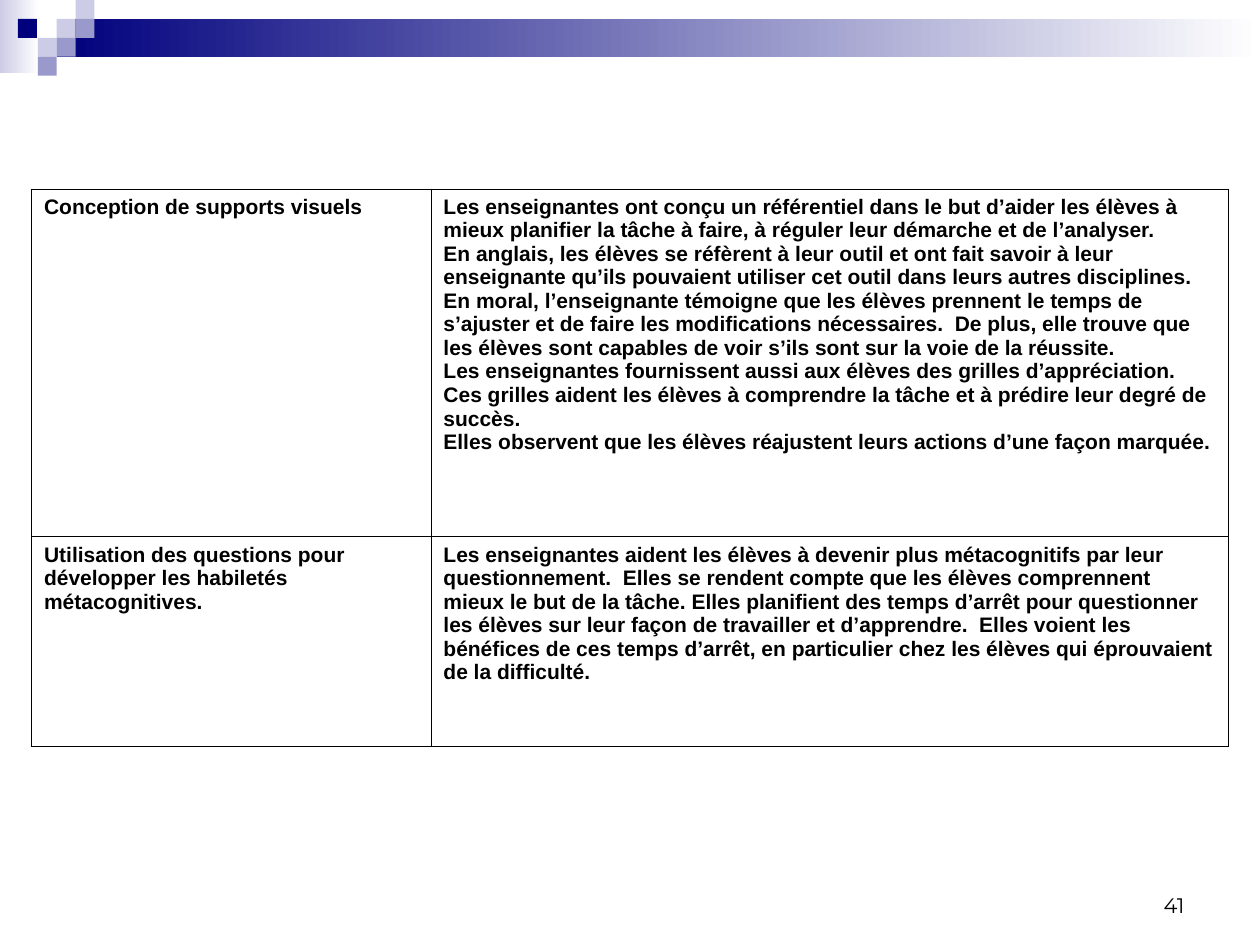
from lxml.etree import SubElement
from pptx import Presentation
from pptx.dml.color import RGBColor
from pptx.enum.shapes import MSO_SHAPE
from pptx.enum.text import MSO_ANCHOR, PP_ALIGN
from pptx.oxml.ns import qn
from pptx.util import Inches, Pt

BLACK = RGBColor(0, 0, 0)
WHITE = RGBColor(0xFF, 0xFF, 0xFF)
NAVY = RGBColor(0x00, 0x00, 0x7D)
LAVENDER = RGBColor(0xCC, 0xCC, 0xE6)
PERIWINKLE = RGBColor(0x99, 0x99, 0xCC)

ROWS = [
    (
        ["Conception de supports visuels"],
        [
            "Les enseignantes ont conçu un référentiel dans le but d’aider les élèves à mieux "
            "planifier la tâche à faire, à réguler leur démarche et de l’analyser.",
            "En anglais, les élèves se réfèrent à leur outil et ont fait savoir à leur "
            "enseignante qu’ils pouvaient utiliser cet outil dans leurs autres disciplines.",
            "En moral, l’enseignante témoigne que les élèves prennent le temps de s’ajuster et "
            "de faire les modifications nécessaires.  De plus, elle trouve que les élèves sont "
            "capables de voir s’ils sont sur la voie de la réussite.",
            "Les enseignantes fournissent aussi aux élèves des grilles d’appréciation.  Ces "
            "grilles aident les élèves à comprendre la tâche et à prédire leur degré de succès.",
            "Elles observent que les élèves réajustent leurs actions d’une façon marquée.",
        ],
    ),
    (
        ["Utilisation des questions pour développer les habiletés métacognitives."],
        [
            "Les enseignantes aident les élèves à devenir plus métacognitifs par leur "
            "questionnement.  Elles se rendent compte que les élèves comprennent mieux le but "
            "de la tâche. Elles planifient des temps d’arrêt pour questionner les élèves sur "
            "leur façon de travailler et d’apprendre.  Elles voient les bénéfices de ces temps "
            "d’arrêt, en particulier chez les élèves qui éprouvaient de la difficulté.",
        ],
    ),
]
PAGE_NUMBER = "41"

COLUMN_WIDTHS = (3.17, 6.33)
ROW_HEIGHTS = (2.76, 1.66)
TABLE_LEFT, TABLE_TOP = 0.25, 1.5

TILE = 0.15
# Left, top, width and height in tiles, then the colour at the left end
GRADIENT_BANDS = [(0, 0, 2.07, 3.87, LAVENDER), (3, 1, 63.67, 2, NAVY)]
# Column, row and colour
TILES = [
    (3, 1, LAVENDER), (4, 0, LAVENDER), (4, 1, PERIWINKLE), (2, 2, LAVENDER),
    (0.95, 1, NAVY), (3, 2, PERIWINKLE), (2, 3, PERIWINKLE),
]


def add_block(slide, column, row, width, height):
    """Add a borderless rectangle measured in tiles."""
    box = [Inches(TILE * value) for value in (column, row, width, height)]
    shape = slide.shapes.add_shape(MSO_SHAPE.RECTANGLE, *box)
    shape.shadow.inherit = False
    shape.line.fill.background()
    return shape


def add_header(slide):
    for *box, color in GRADIENT_BANDS:
        fill = add_block(slide, *box).fill
        fill.gradient()
        fill.gradient_angle = 180
        for stop, position, stop_color in zip(fill.gradient_stops, (0, 1), (WHITE, color)):
            stop.position = position
            stop.color.rgb = stop_color
    for column, row, color in TILES:
        fill = add_block(slide, column, row, 1, 1).fill
        fill.solid()
        fill.fore_color.rgb = color


def write(text_frame, paragraphs, font="Arial", size=12, bold=False, align=PP_ALIGN.LEFT):
    text_frame.word_wrap = True
    for index, text in enumerate(paragraphs):
        paragraph = text_frame.paragraphs[0] if index == 0 else text_frame.add_paragraph()
        paragraph.alignment = align
        run = paragraph.add_run()
        run.text = text
        run.font.name = font
        run.font.size = Pt(size)
        run.font.bold = bold
        run.font.color.rgb = BLACK


def set_borders(cell, color=BLACK, width=0.45):
    properties = cell._tc.get_or_add_tcPr()
    for side in ("a:lnL", "a:lnR", "a:lnT", "a:lnB"):
        line = SubElement(properties, qn(side), w=str(Pt(width)))
        SubElement(SubElement(line, qn("a:solidFill")), qn("a:srgbClr"), val=str(color))


def add_table(slide):
    table = slide.shapes.add_table(
        len(ROWS), len(COLUMN_WIDTHS), Inches(TABLE_LEFT), Inches(TABLE_TOP),
        Inches(sum(COLUMN_WIDTHS)), Inches(sum(ROW_HEIGHTS)),
    ).table
    table.first_row = table.horz_banding = False
    for column, width in zip(table.columns, COLUMN_WIDTHS):
        column.width = Inches(width)
    for row, height, contents in zip(table.rows, ROW_HEIGHTS, ROWS):
        row.height = Inches(height)
        for cell, paragraphs in zip(row.cells, contents):
            set_borders(cell)
            cell.fill.background()
            write(cell.text_frame, paragraphs, bold=True)


def add_page_number(slide):
    box = slide.shapes.add_textbox(Inches(7.17), Inches(6.83), Inches(2.33), Inches(0.5))
    box.text_frame.vertical_anchor = MSO_ANCHOR.BOTTOM
    write(box.text_frame, [PAGE_NUMBER], font="Montserrat", align=PP_ALIGN.RIGHT)


def main():
    presentation = Presentation()
    presentation.slide_width, presentation.slide_height = Inches(10), Inches(7.5)
    slide = presentation.slides.add_slide(presentation.slide_layouts[6])
    add_header(slide)
    add_table(slide)
    add_page_number(slide)
    presentation.save("out.pptx")


if __name__ == "__main__":
    main()
